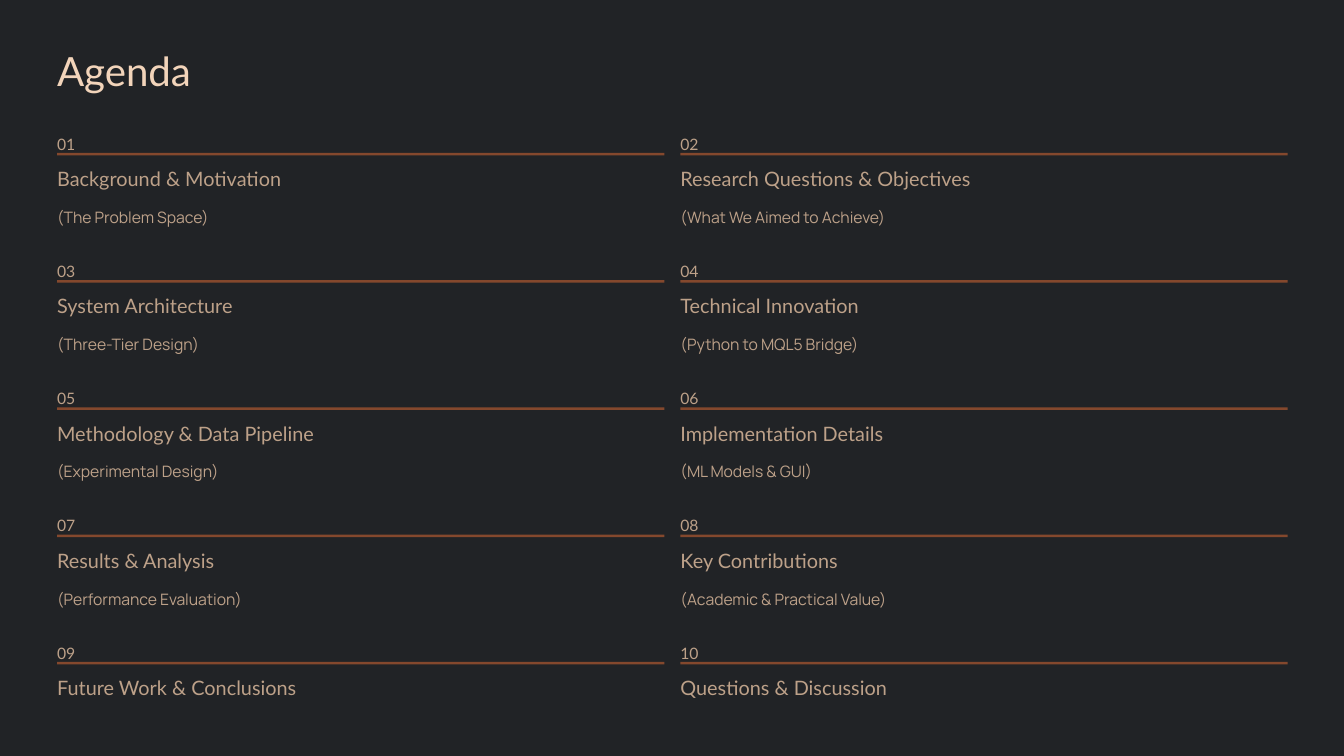
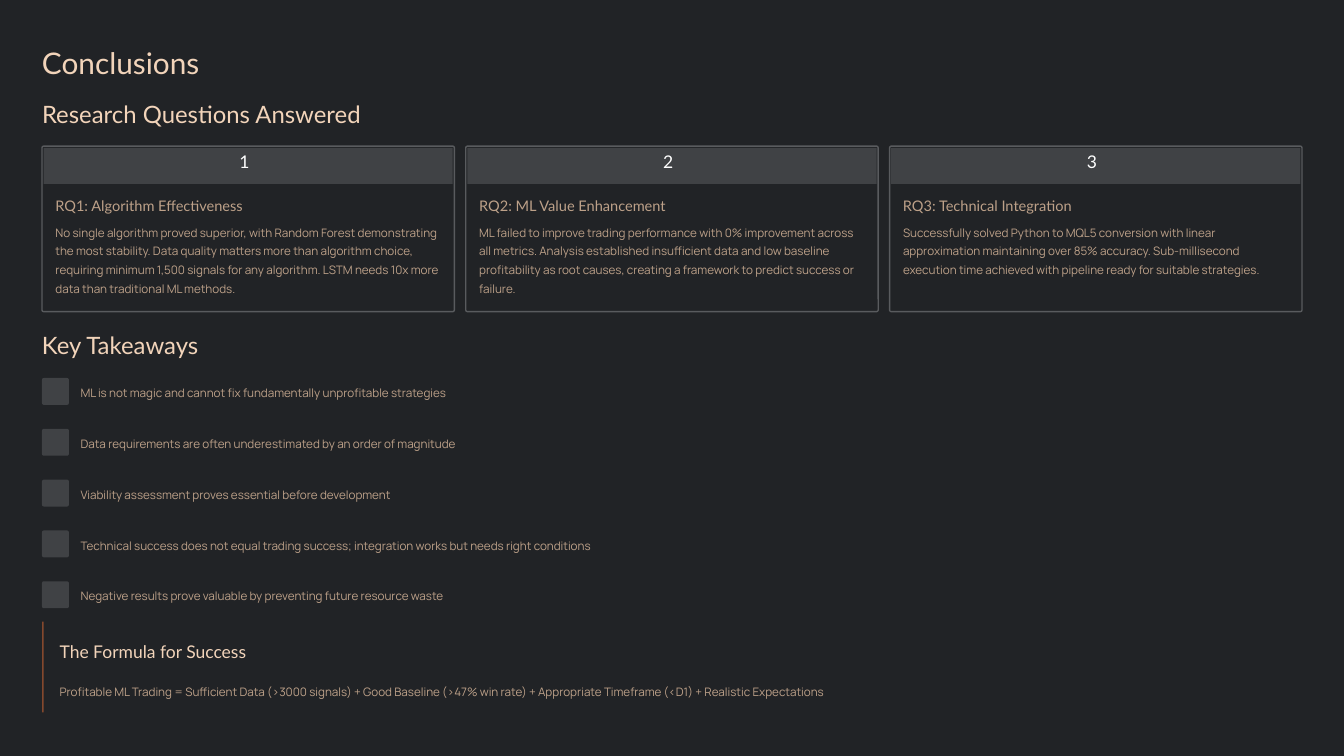
from pptx import Presentation
from pptx.dml.color import RGBColor
from pptx.enum.shapes import MSO_SHAPE
from pptx.util import Inches, Pt

COLORS = {
    "back": "212326",
    "title": "F2D4BA",
    "body": "BDA189",
    "accent": "84482D",
    "panel": "404245",
    "border": "595B5E",
    "white": "FFFFFF",
}
STYLES = {
    "title": ("Lato", 34.5, 43, "title"),
    "small_title": ("Lato", 25.5, 32, "title"),
    "section": ("Lato", 20.5, 25.5, "title"),
    "formula": ("Lato", 15, 19, "title"),
    "number": ("Lato", 13.5, 22, "body"),
    "topic": ("Lato", 17, 21.5, "body"),
    "subtopic": ("Manrope", 13.5, 22, "body"),
    "card_number": ("Lato", 15, 15, "white"),
    "card_title": ("Lato", 12.5, 16, "body"),
    "body": ("Manrope", 10, 16, "body"),
}
AGENDA = [
    ("Background & Motivation", 3, "(The Problem Space)"),
    ("Research Questions & Objectives", 3.86, "(What We Aimed to Achieve)"),
    ("System Architecture", 2.41, "(Three-Tier Design)"),
    ("Technical Innovation", 2.43, "(Python to MQL5 Bridge)"),
    ("Methodology & Data Pipeline", 3.42, "(Experimental Design)"),
    ("Implementation Details", 2.74, "(ML Models & GUI)"),
    ("Results & Analysis", 2.41, "(Performance Evaluation)"),
    ("Key Contributions", 2.41, "(Academic & Practical Value)"),
    ("Future Work & Conclusions", 3.22, None),
    ("Questions & Discussion", 2.77, None),
]
ANSWERS = [
    ("RQ1: Algorithm Effectiveness", 2.46, 0.91,
     "No single algorithm proved superior, with Random Forest demonstrating the most stability. "
     "Data quality matters more than algorithm choice, requiring minimum 1,500 signals for any "
     "algorithm. LSTM needs 10x more data than traditional ML methods."),
    ("RQ2: ML Value Enhancement", 2.55, 0.91,
     "ML failed to improve trading performance with 0% improvement across all metrics. Analysis "
     "established insufficient data and low baseline profitability as root causes, creating a "
     "framework to predict success or failure."),
    ("RQ3: Technical Integration", 2.3, 0.68,
     "Successfully solved Python to MQL5 conversion with linear approximation maintaining over 85% "
     "accuracy. Sub-millisecond execution time achieved with pipeline ready for suitable strategies."),
]
TAKEAWAYS = [
    "ML is not magic and cannot fix fundamentally unprofitable strategies",
    "Data requirements are often underestimated by an order of magnitude",
    "Viability assessment proves essential before development",
    "Technical success does not equal trading success; integration works but needs right conditions",
    "Negative results prove valuable by preventing future resource waste",
]
FORMULA = ("Profitable ML Trading = Sufficient Data (>3000 signals) + Good Baseline (>47% win rate) "
           "+ Appropriate Timeframe (<D1) + Realistic Expectations")


def rgb(name):
    return RGBColor.from_string(COLORS[name])


def add_slide(prs):
    s = prs.slides.add_slide(prs.slide_layouts[6])
    s.background.fill.solid()
    s.background.fill.fore_color.rgb = rgb("back")
    return s


def add_text(s, x, y, w, h, text, style, wrap=False):
    font, size, leading, color = STYLES[style]
    tf = s.shapes.add_textbox(Inches(x), Inches(y), Inches(w), Inches(h)).text_frame
    tf.margin_left = tf.margin_top = tf.margin_right = tf.margin_bottom = 0
    tf.word_wrap = wrap
    p = tf.paragraphs[0]
    p.text = text
    p.line_spacing = Pt(leading)
    p.font.name = font
    p.font.size = Pt(size)
    p.font.color.rgb = rgb(color)


def add_box(s, x, y, w, h, fill, radius=None, line=None):
    kind = MSO_SHAPE.RECTANGLE if radius is None else MSO_SHAPE.ROUNDED_RECTANGLE
    sp = s.shapes.add_shape(kind, Inches(x), Inches(y), Inches(w), Inches(h))
    sp.shadow.inherit = False
    if radius is not None:
        sp.adjustments[0] = radius
    sp.fill.solid()
    sp.fill.fore_color.rgb = rgb(fill)
    if line:
        sp.line.color.rgb = rgb(line)
        sp.line.width = Pt(1.2)
    else:
        sp.line.fill.background()


def add_agenda_item(s, x, y, w, number, topic, topic_w, subtopic):
    add_text(s, x, y, 0.25, 0.24, f"{number:02d}", "number")
    add_box(s, x, y + 0.3, w, 0.03, "accent")
    add_text(s, x, y + 0.45, topic_w, 0.3, topic, "topic")
    if subtopic:
        add_text(s, x, y + 0.87, w, 0.31, subtopic, "subtopic")


def add_answer_card(s, x, y, w, h, number, title, title_w, body_h, body):
    add_box(s, x, y, w, h, "back", 0.01, "border")
    add_box(s, x + 0.02, y + 0.02, w - 0.04, 0.43, "panel", 0)
    add_text(s, x + 2.35, y + 0.1, 0.21, 0.27, str(number), "card_number")
    add_text(s, x + 0.16, y + 0.59, title_w, 0.22, title, "card_title")
    add_text(s, x + 0.16, y + 0.89, w - 0.32, body_h, body, "body", wrap=True)


def add_takeaway(s, x, y, w, text):
    add_box(s, x, y, 0.32, 0.32, "panel", 0.07)
    add_text(s, x + 0.46, y + 0.04, w - 0.46, 0.23, text, "body")


def add_formula(s, x, y, w, h):
    add_text(s, x + 0.21, y + 0.22, 2.58, 0.27, "The Formula for Success", "formula")
    add_text(s, x + 0.21, y + 0.7, w - 0.21, 0.23, FORMULA, "body")
    add_box(s, x, y, 0.02, h, "accent")


def agenda_slide(prs):
    s = add_slide(prs)
    add_text(s, 0.68, 0.53, 4.83, 0.6, "Agenda", "title")
    top, last_top = 1.52, 7.58
    pitch = (last_top - top) / (len(AGENDA) // 2 - 1)
    for i, item in enumerate(AGENDA):
        row, col = divmod(i, 2)
        add_agenda_item(s, 0.68 + 7.42 * col, top + pitch * row, 7.23, i + 1, *item)


def conclusions_slide(prs):
    s = add_slide(prs)
    left, width = 0.5, 15
    add_text(s, left, 0.51, 3.57, 0.45, "Conclusions", "small_title")
    add_text(s, left, 1.17, 4.19, 0.36, "Research Questions Answered", "section")
    card_w = 4.91
    card_pitch = (width - card_w) / (len(ANSWERS) - 1)
    for i, answer in enumerate(ANSWERS):
        add_answer_card(s, left + card_pitch * i, 1.74, card_w, 1.97, i + 1, *answer)
    add_text(s, left, 3.92, 2.86, 0.36, "Key Takeaways", "section")
    top, last_top = 4.5, 6.92
    pitch = (last_top - top) / (len(TAKEAWAYS) - 1)
    for i, text in enumerate(TAKEAWAYS):
        add_takeaway(s, left, top + pitch * i, width, text)
    add_formula(s, left, 7.4, width, 1.08)


def main():
    prs = Presentation()
    prs.slide_width = Inches(16)
    prs.slide_height = Inches(9)
    agenda_slide(prs)
    conclusions_slide(prs)
    prs.save("out.pptx")


if __name__ == "__main__":
    main()
